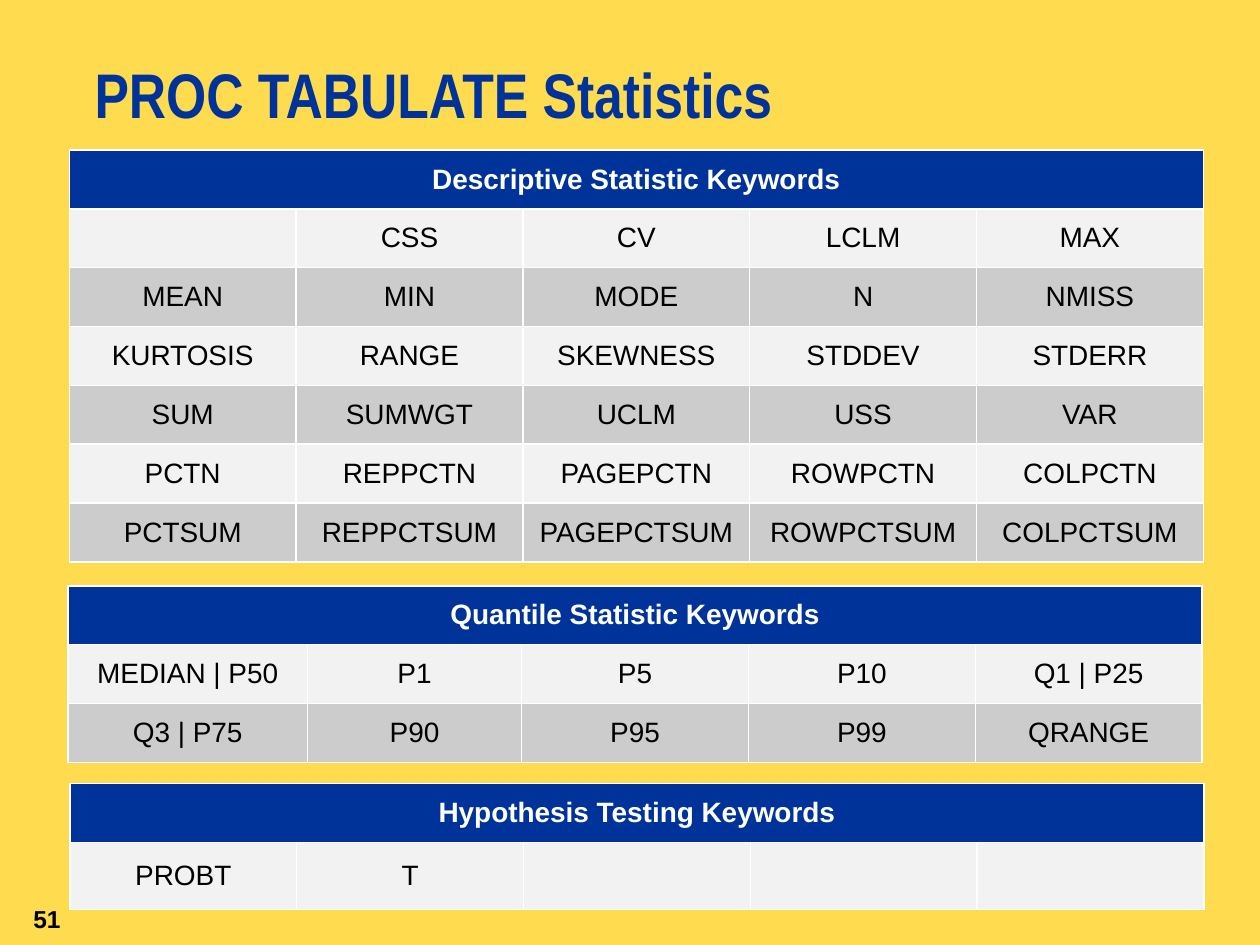
from dataclasses import dataclass

from lxml.etree import SubElement
from pptx import Presentation
from pptx.dml.color import RGBColor
from pptx.enum.text import MSO_ANCHOR, PP_ALIGN
from pptx.oxml.ns import qn
from pptx.slide import Slide
from pptx.table import _Cell
from pptx.text.text import _Paragraph
from pptx.util import Inches, Pt

COLORS = {
    "background": "FFDC4F",
    "blue": "003399",
    "light": "F2F2F2",
    "dark": "CCCCCC",
    "white": "FFFFFF",
    "black": "000000",
}
SLIDE_W, SLIDE_H = Inches(10), Inches(7.5)
GRID_COLS, GRID_ROWS = 100, 75
HEADER_ROWS = 4.6


@dataclass(frozen=True)
class KeywordTable:
    title: str
    left: float
    top: float
    widths: tuple[float, ...]
    row_height: float
    rows: tuple[tuple[str, ...], ...]


EQUAL_WIDTHS = (18,) * 5
TABLES = (
    KeywordTable("Descriptive Statistic Keywords", 5.5, 11.9, EQUAL_WIDTHS, 4.67, (
        ("", "CSS", "CV", "LCLM", "MAX"),
        ("MEAN", "MIN", "MODE", "N", "NMISS"),
        ("KURTOSIS", "RANGE", "SKEWNESS", "STDDEV", "STDERR"),
        ("SUM", "SUMWGT", "UCLM", "USS", "VAR"),
        ("PCTN", "REPPCTN", "PAGEPCTN", "ROWPCTN", "COLPCTN"),
        ("PCTSUM", "REPPCTSUM", "PAGEPCTSUM", "ROWPCTSUM", "COLPCTSUM"),
    )),
    KeywordTable("Quantile Statistic Keywords", 5.4, 46.5, (19, 17, 18, 18, 18), 4.67, (
        ("MEDIAN | P50", "P1", "P5", "P10", "Q1 | P25"),
        ("Q3 | P75", "P90", "P95", "P99", "QRANGE"),
    )),
    KeywordTable("Hypothesis Testing Keywords", 5.55, 62.2, EQUAL_WIDTHS, 5.3, (
        ("PROBT", "T", "", "", ""),
    )),
)


def cols(n: float) -> int:
    return round(SLIDE_W * n / GRID_COLS)


def rows(n: float) -> int:
    return round(SLIDE_H * n / GRID_ROWS)


def set_font(p: _Paragraph, name: str, size: float, color: str, bold: bool) -> None:
    p.font.name = name
    p.font.size = Pt(size)
    p.font.bold = bold
    p.font.color.rgb = RGBColor.from_string(COLORS[color])


def add_borders(cell: _Cell) -> None:
    tc_pr = cell._tc.get_or_add_tcPr()
    for index, side in enumerate(("lnL", "lnR", "lnT", "lnB")):
        line = tc_pr.makeelement(qn(f"a:{side}"), {"w": str(Pt(1))})
        fill = SubElement(line, qn("a:solidFill"))
        SubElement(fill, qn("a:srgbClr"), val=COLORS["white"])
        tc_pr.insert(index, line)


def fill_cell(cell: _Cell, text: str, fill: str, color: str, bold: bool) -> None:
    cell.fill.solid()
    cell.fill.fore_color.rgb = RGBColor.from_string(COLORS[fill])
    add_borders(cell)
    if text:
        cell.margin_left = cell.margin_right = cols(1)
        cell.margin_top = cell.margin_bottom = rows(1)
        cell.vertical_anchor = MSO_ANCHOR.MIDDLE
        p = cell.text_frame.paragraphs[0]
        p.text = text
        p.alignment = PP_ALIGN.CENTER
        set_font(p, "Arial", 16, color, bold)


def add_keyword_table(s: Slide, spec: KeywordTable) -> None:
    n_rows, n_cols = len(spec.rows) + 1, len(spec.widths)
    height = HEADER_ROWS + spec.row_height * len(spec.rows)
    table = s.shapes.add_table(
        n_rows, n_cols, cols(spec.left), rows(spec.top), cols(sum(spec.widths)), rows(height)
    ).table
    for column, width in zip(table.columns, spec.widths):
        column.width = cols(width)
    for index, row in enumerate(table.rows):
        row.height = rows(spec.row_height if index else HEADER_ROWS)
    table.cell(0, 0).merge(table.cell(0, n_cols - 1))
    for c in range(n_cols):
        fill_cell(table.cell(0, c), "" if c else spec.title, "blue", "white", True)
    for r, keywords in enumerate(spec.rows, 1):
        for c, keyword in enumerate(keywords):
            fill_cell(table.cell(r, c), keyword, "light" if r % 2 else "dark", "black", False)


def add_title(s: Slide, text: str) -> None:
    tf = s.shapes.add_textbox(cols(7.5), rows(5), cols(92.5), rows(7.5)).text_frame
    tf.word_wrap = True
    tf.margin_left = tf.margin_right = tf.margin_top = tf.margin_bottom = 0
    p = tf.paragraphs[0]
    p.text = text
    p.line_spacing = Pt(39)
    set_font(p, "Arial Narrow", 36, "blue", True)


def add_page_number(s: Slide, text: str) -> None:
    tf = s.shapes.add_textbox(0, rows(70.8), cols(5.8), rows(4.2)).text_frame
    tf.word_wrap = False
    tf.vertical_anchor = MSO_ANCHOR.MIDDLE
    p = tf.paragraphs[0]
    p.text = text
    p.alignment = PP_ALIGN.RIGHT
    set_font(p, "Arial", 14, "black", True)


def main() -> None:
    prs = Presentation()
    prs.slide_width, prs.slide_height = SLIDE_W, SLIDE_H
    s = prs.slides.add_slide(prs.slide_layouts[6])
    s.background.fill.solid()
    s.background.fill.fore_color.rgb = RGBColor.from_string(COLORS["background"])
    add_title(s, "PROC TABULATE Statistics")
    add_page_number(s, "51")
    for spec in TABLES:
        add_keyword_table(s, spec)
    prs.save("out.pptx")


if __name__ == "__main__":
    main()
